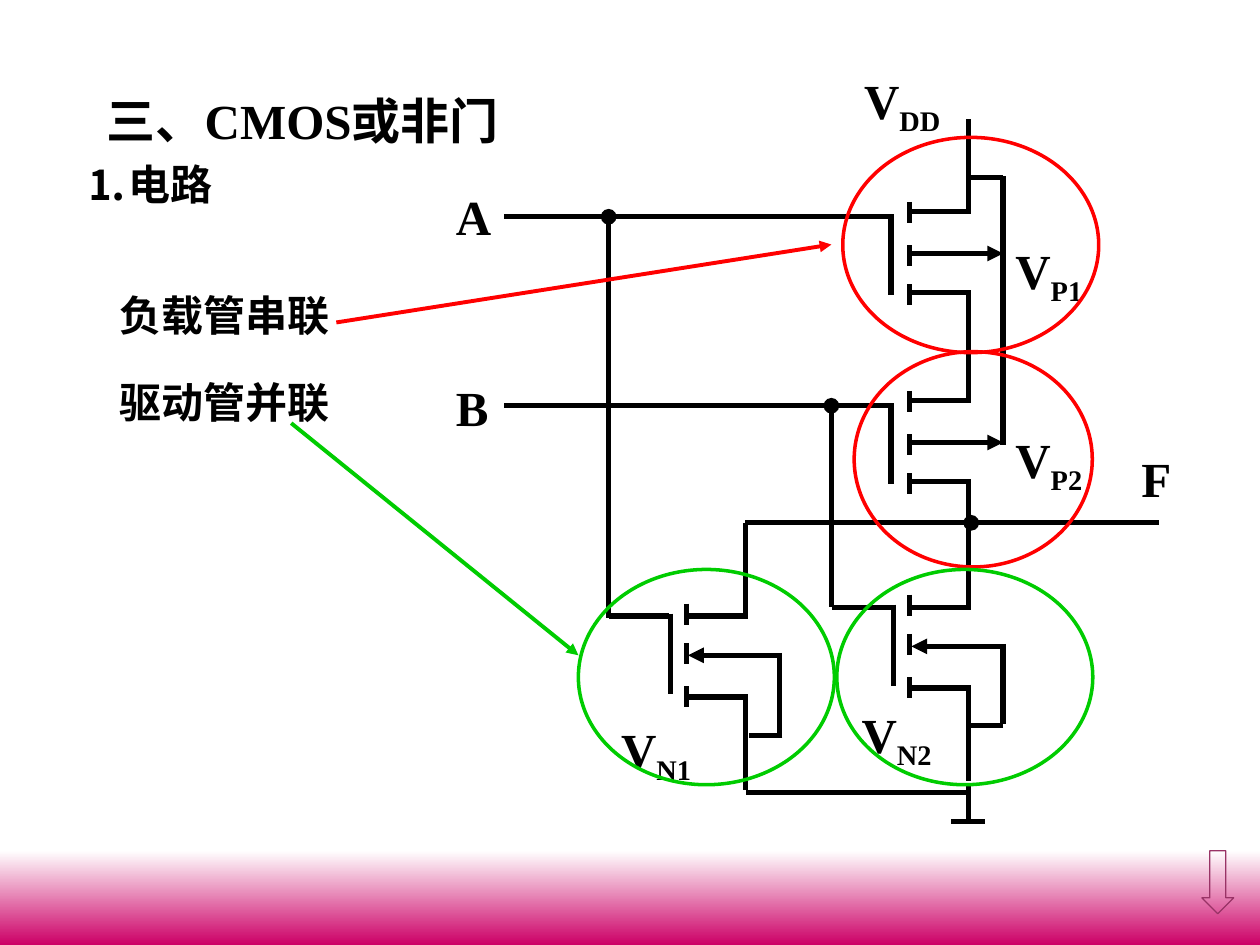
from lxml.etree import SubElement
from pptx import Presentation
from pptx.dml.color import RGBColor
from pptx.enum.shapes import MSO_CONNECTOR, MSO_SHAPE
from pptx.enum.text import MSO_ANCHOR, PP_ALIGN
from pptx.oxml.ns import qn
from pptx.util import Cm, Pt

FONT = "Times New Roman"
BLACK, RED, GREEN = "000000", "FF0000", "00CC00"
rgb = RGBColor.from_string

deck = Presentation()
deck.slide_width, deck.slide_height = Cm(25.4), Cm(19.05)
slide = deck.slides.add_slide(deck.slide_layouts[5])
shapes = slide.shapes


def wire(x1, y1, x2, y2, head=None, tail=None, color=BLACK, width=3):
    line = shapes.add_connector(MSO_CONNECTOR.STRAIGHT, Cm(x1), Cm(y1), Cm(x2), Cm(y2))
    line.line.color.rgb = rgb(color)
    line.line.width = Pt(width)
    props = line._element.spPr
    for tag, end in (("a:headEnd", head), ("a:tailEnd", tail)):
        if end:
            SubElement(props.find(qn("a:ln")), qn(tag), type=end)
    SubElement(props, qn("a:effectLst"))


def label(x, y, w, h, text, size, sub=""):
    frame = shapes.add_textbox(Cm(x), Cm(y), Cm(w), Cm(h)).text_frame
    frame.word_wrap = False
    par = frame.paragraphs[0]
    par.font.name, par.font.size, par.font.bold = FONT, Pt(size), True
    par.font.color.rgb = rgb(BLACK)
    par.add_run().text = text
    if sub:
        run = par.add_run()
        run.text = sub
        run._r.get_or_add_rPr().set("baseline", "-25000")


# Bottom band
band = shapes.add_shape(MSO_SHAPE.RECTANGLE, Cm(0), Cm(17.15), Cm(25.4), Cm(1.9))
band.shadow.inherit = False
band.line.fill.background()
band.fill.gradient()
band.fill.gradient_angle = 270
for stop, place, color in zip(band.fill.gradient_stops, (0, 1), ("FFFFFF", "CC0066")):
    stop.position = place
    stop.color.rgb = rgb(color)

# Title and notes
title = shapes.title
title.left, title.top, title.width, title.height = Cm(1.9), Cm(1.7), Cm(10.85), Cm(1.42)
title.text_frame.text = "三、CMOS或非门"
title.text_frame.vertical_anchor = MSO_ANCHOR.MIDDLE
head = title.text_frame.paragraphs[0]
head.alignment = PP_ALIGN.LEFT
head.font.name, head.font.size, head.font.bold = FONT, Pt(28), True
head.font.color.rgb = rgb(BLACK)
label(1.5, 3.07, 3.07, 1.27, "⒈电路", 24)
label(2.16, 5.72, 5.84, 1.27, "负载管串联", 24)
label(2.16, 7.47, 4.8, 1.27, "驱动管并联", 24)

# Transistors: channel x, middle y; the N type is the P type upside down
for x, y, kind in ((18.34, 5.11, "P"), (18.34, 8.92, "P"),
                   (13.84, 13.21, "N"), (18.34, 13.03, "N")):
    flip, gate, top = (1, -0.38, -0.79) if kind == "P" else (-1, -0.33, -0.84)
    for mid in (-0.83, 0.04, 0.83):
        wire(x, y + flip * mid - 0.21, x, y + flip * mid + 0.21)
    for lead, start, end in ((-0.84, -0.81, -2.72), (0.79, 0.76, 2.67)):
        wire(x + 0.03, y + flip * lead, x + 1.24, y + flip * lead)
        wire(x + 1.19, y + flip * start, x + 1.19, y + flip * end)
    wire(x + gate, y + top, x + gate, y + top + 1.63)
    wire(x - 1.57, y + top + 0.05, x - 0.36, y + top + 0.05)
    ends = (None, "triangle") if kind == "P" else ("triangle", None)
    wire(x + 0.03, y, x + 1.88, y, *ends)
    wire(x + 1.88, y + flip * 0.05, x + 1.88, y - flip * 1.57)

# Wires between them
for ends in (
    (19.58, 3.58, 20.22, 3.58),             # supply to body
    (20.22, 5.13, 20.22, 8),
    (16.81, 4.37, 10.16, 4.37),             # input A
    (12.27, 4.37, 12.27, 12.45, "oval"),
    (16.76, 8.18, 10.16, 8.18, "oval"),     # input B
    (16.76, 8.23, 16.76, 12.24),
    (19.53, 10.54, 23.37, 10.54),           # output F
    (19.58, 10.54, 15.01, 10.54, "oval"),
    (15.77, 14.83, 15.09, 14.83),           # body to source
    (20.22, 14.63, 19.53, 14.63),
    (15.04, 15.98, 19.58, 15.98),           # ground
    (19.53, 15.8, 19.53, 16.56),
    (19.18, 16.56, 19.86, 16.56),
):
    wire(*ends)

# Circuit labels
for x, y, sub in ((17.17, 1.3, "DD"), (20.22, 4.72, "P1"), (20.22, 8.53, "P2"),
                  (12.27, 14.38, "N1"), (17.12, 14.07, "N2")):
    label(x, y, 2.41, 1.6, "V", 28, sub)
for x, y, name in ((8.94, 3.63, "A"), (8.94, 7.49, "B"), (22.76, 8.92, "F")):
    label(x, y, 1.19, 1.45, name, 28)

# Rings round the pairs and the down arrow
for kind, x, y, w, h, color, width in (
    (MSO_SHAPE.OVAL, 17.22, 7.09, 4.8, 4.34, RED, 2),
    (MSO_SHAPE.OVAL, 16.99, 2.77, 5.16, 4.34, RED, 2),
    (MSO_SHAPE.OVAL, 11.66, 11.48, 5.16, 4.34, GREEN, 2),
    (MSO_SHAPE.OVAL, 16.87, 11.48, 5.16, 4.34, GREEN, 2),
    (MSO_SHAPE.DOWN_ARROW, 24.23, 17.15, 0.64, 1.27, "993366", 0.75),
):
    ring = shapes.add_shape(kind, Cm(x), Cm(y), Cm(w), Cm(h))
    ring.shadow.inherit = False
    ring.fill.background()
    ring.line.color.rgb = rgb(color)
    ring.line.width = Pt(width)

# Pointers from notes to rings
wire(6.78, 6.5, 16.76, 4.93, tail="triangle", color=RED, width=2.25)
wire(5.87, 8.53, 11.66, 13.21, tail="triangle", color=GREEN, width=2.25)

deck.save("out.pptx")
